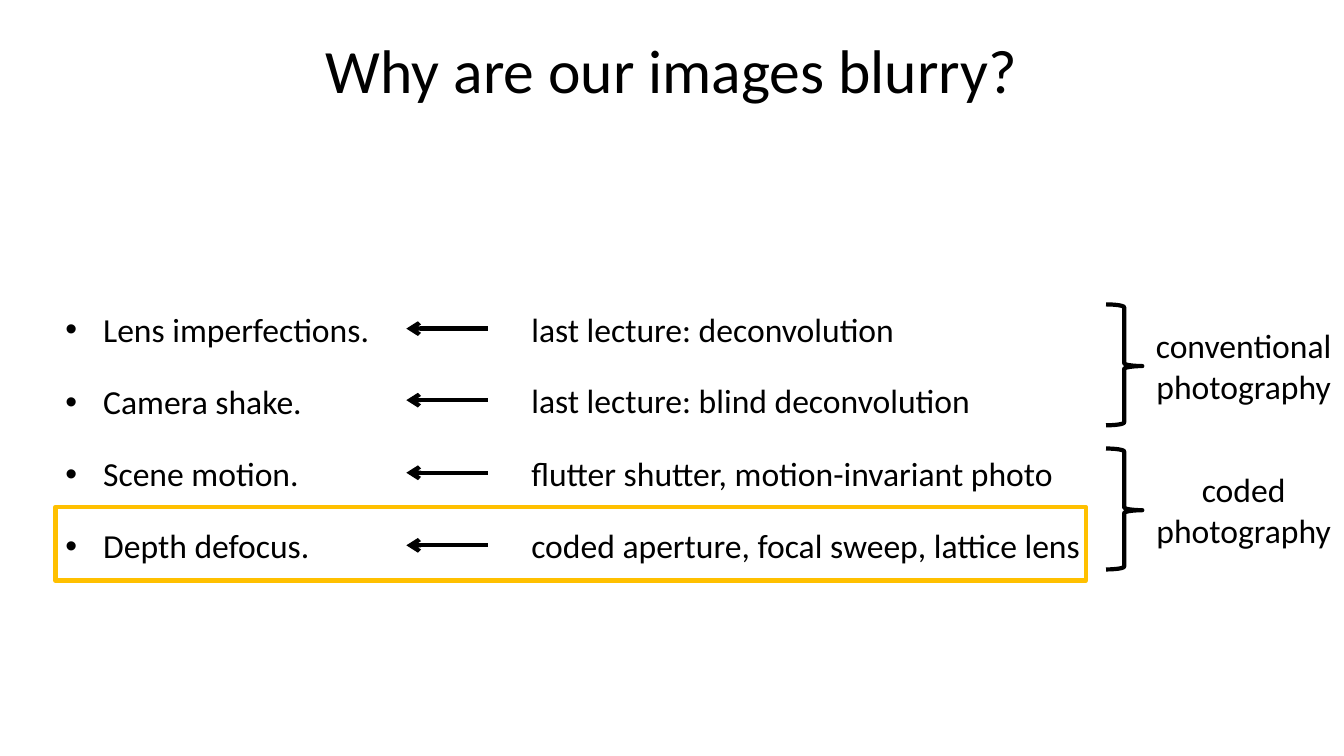
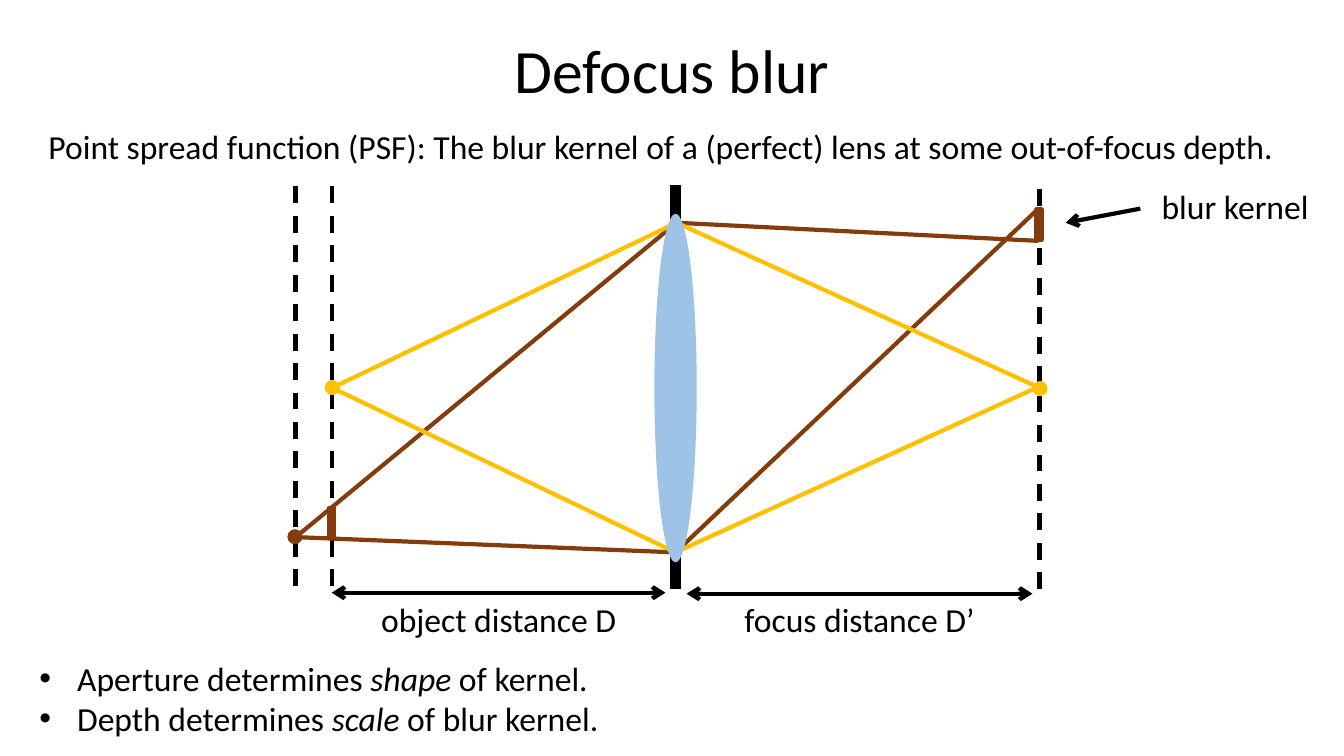
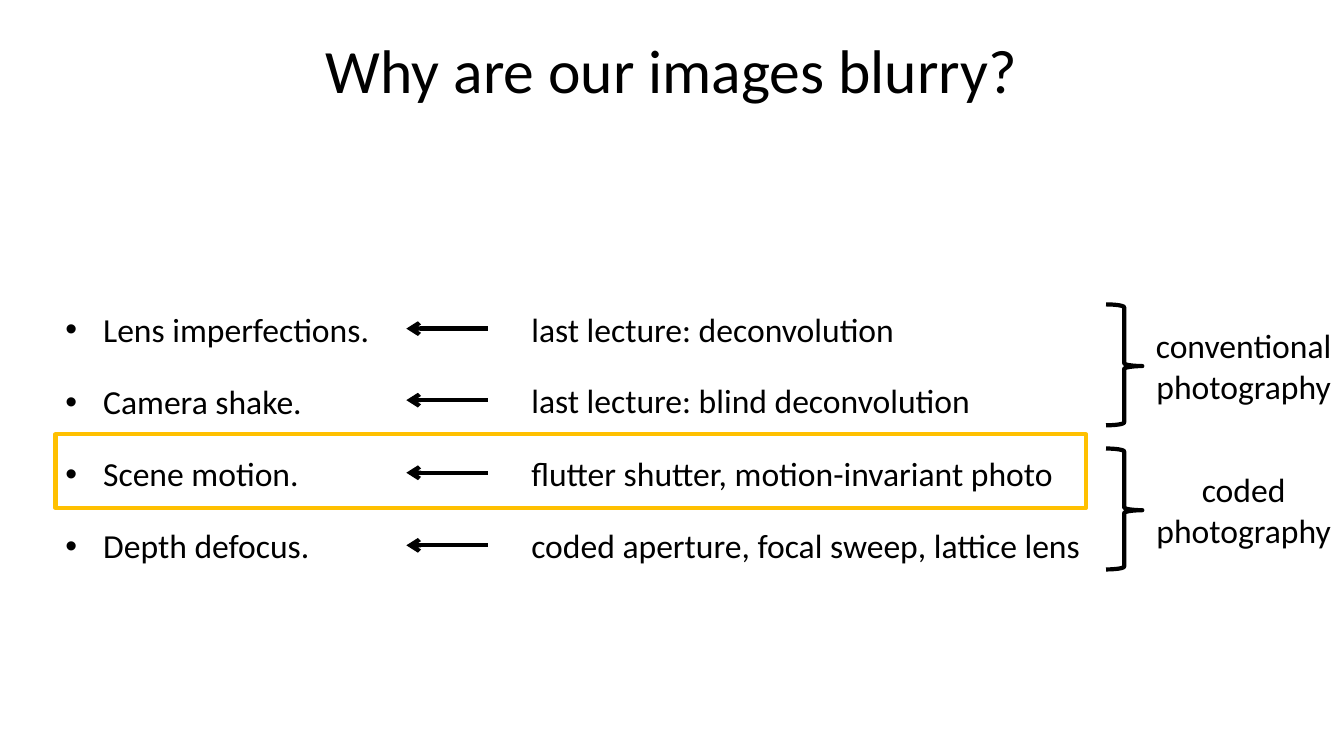
"""Build three slides on image blur: two overviews and a defocus diagram."""
from lxml.etree import SubElement
from pptx import Presentation
from pptx.dml.color import RGBColor
from pptx.enum.dml import MSO_LINE
from pptx.enum.shapes import MSO_CONNECTOR, MSO_SHAPE
from pptx.enum.text import MSO_ANCHOR, PP_ALIGN
from pptx.oxml.ns import qn
from pptx.util import Emu, Pt

PX = 9144
WIDTH, HEIGHT = 1333, 750
FONT = "Calibri"
BLACK = RGBColor(0x00, 0x00, 0x00)
GOLD = RGBColor(0xFF, 0xC0, 0x00)
BROWN = RGBColor(0x84, 0x3C, 0x0C)
LENS_BLUE = RGBColor(0x9D, 0xC3, 0xE6)

OVERVIEW_TITLE = "Why are our images blurry?"
CAUSES = [
    ("Lens imperfections.", "last lecture: deconvolution"),
    ("Camera shake.", "last lecture: blind deconvolution"),
    ("Scene motion.", "flutter shutter, motion-invariant photo"),
    ("Depth defocus.", "coded aperture, focal sweep, lattice lens"),
]
GROUPS = [(0, "conventional photography"), (2, "coded photography")]

DEFOCUS_TITLE = "Defocus blur"
DEFINITION = ("Point spread function (PSF): The blur kernel of a (perfect) "
              "lens at some out-of-focus depth.")
KERNEL_FACTS = [
    [("Aperture determines ", False), ("shape", True), (" of kernel.", False)],
    [("Depth determines ", False), ("scale", True), (" of blur kernel.", False)],
]
LENS_TOP, LENS_BOTTOM = (671, 221), (670, 548)
PLANES = [(293, 185), (329, 185), (1031, 188)]
PLANE_LENGTH = 400
RAYS = [
    (BROWN, (297, 533), LENS_BOTTOM),
    (BROWN, (1030, 207), LENS_BOTTOM),
    (BROWN, (298, 529), LENS_TOP),
    (BROWN, LENS_TOP, (1030, 239)),
    (GOLD, (329, 385), LENS_TOP),
    (GOLD, (328, 384), LENS_BOTTOM),
    (GOLD, (1025, 382), LENS_TOP),
    (GOLD, (1025, 386), LENS_BOTTOM),
]
DISTANCES = [(329, 660, 588, "object distance D"),
             (681, 1024, 589, "focus distance D’")]
POINTS = [(GOLD, 322, 377), (GOLD, 1024, 378), (BROWN, 285, 525)]
KERNELS = [(326, 504, 3), (1028, 208, 3.5)]


def px(value):
    return Emu(round(value * PX))


def add_text(slide, box, paragraphs, size=24, align=PP_ALIGN.LEFT, inset=(4, 4),
             bullet=False, line_spacing=None, gap=0):
    shape = slide.shapes.add_textbox(*map(px, box))
    frame = shape.text_frame
    frame.word_wrap = True
    frame.vertical_anchor = MSO_ANCHOR.MIDDLE
    frame.margin_left = frame.margin_right = px(inset[0])
    frame.margin_top = frame.margin_bottom = px(inset[1])
    for index, runs in enumerate(paragraphs):
        paragraph = frame.add_paragraph() if index else frame.paragraphs[0]
        paragraph.alignment = align
        if bullet:
            properties = paragraph._p.get_or_add_pPr()
            properties.set("marL", str(px(37.5)))
            properties.set("indent", str(-px(37.5)))
            SubElement(properties, qn("a:buFont"), typeface="Arial")
            SubElement(properties, qn("a:buChar"), char="•")
        if line_spacing:
            paragraph.line_spacing = line_spacing
        if index and gap:
            paragraph.space_before = Pt(gap)
        for text, italic in [(runs, False)] if isinstance(runs, str) else runs:
            run = paragraph.add_run()
            run.text = text
            run.font.name = FONT
            run.font.size = Pt(size)
            run.font.italic = italic
            run.font.color.rgb = BLACK


def add_line(slide, start, end, color=BLACK, dashed=False, arrows=()):
    line = slide.shapes.add_connector(
        MSO_CONNECTOR.STRAIGHT, *map(px, (*start, *end)))
    line.line.color.rgb = color
    line.line.width = Pt(3)
    if dashed:
        line.line.dash_style = MSO_LINE.DASH
    for arrow in arrows:
        SubElement(line.line._get_or_add_ln(), qn("a:" + arrow), type="arrow")
    SubElement(line._element.spPr, qn("a:effectLst"))


def add_figure(slide, kind, box, fill=None, outline=None, width=3):
    shape = slide.shapes.add_shape(kind, *map(px, box))
    shape.shadow.inherit = False
    if fill is None:
        shape.fill.background()
    else:
        shape.fill.solid()
        shape.fill.fore_color.rgb = fill
    if outline is None:
        shape.line.fill.background()
    else:
        shape.line.color.rgb = outline
        shape.line.width = Pt(width)
    return shape


def add_titled_slide(presentation, title):
    slide = presentation.slides.add_slide(presentation.slide_layouts[6])
    add_text(slide, (0, 0, WIDTH, 145), [title], size=44,
             align=PP_ALIGN.CENTER, inset=(10, 5), line_spacing=0.9)
    return slide


def row_top(row):
    return 302 + 215 * row // 3


def add_overview(presentation, highlighted):
    slide = add_titled_slide(presentation, OVERVIEW_TITLE)
    add_text(slide, (55, 147, 1223, 578), [cause for cause, _ in CAUSES],
             inset=(10, 5), bullet=True, line_spacing=0.9, gap=25.6)
    for row, (_, remedy) in enumerate(CAUSES):
        top = row_top(row)
        add_text(slide, (523, top, 717, 48), [remedy])
        add_line(slide, (484, top + 24), (403, top + 24), arrows=["tailEnd"])
    for row, label in GROUPS:
        top = row_top(row)
        brace = add_figure(slide, MSO_SHAPE.RIGHT_BRACE, (1097, top, 36, 120),
                           outline=BLACK)
        brace.adjustments[0], brace.adjustments[1] = 0.08, 0.51
        add_text(slide, (1133, top + 16, 201, 89), [label], align=PP_ALIGN.CENTER)
    add_figure(slide, MSO_SHAPE.RECTANGLE,
               (55, row_top(highlighted) - 14, 1022, 73), outline=GOLD)


def add_defocus(presentation):
    slide = add_titled_slide(presentation, DEFOCUS_TITLE)
    add_text(slide, (44, 121, 1262, 48), [DEFINITION])
    for x, top in PLANES:
        add_line(slide, (x, top), (x, top + PLANE_LENGTH), dashed=True)
    for color, start, end in RAYS:
        add_line(slide, start, end, color)
    add_figure(slide, MSO_SHAPE.RECTANGLE, (665, 184, 10, PLANE_LENGTH),
               BLACK, BLACK, 1)
    add_figure(slide, MSO_SHAPE.OVAL, (649, 212, 42, 346), LENS_BLUE)
    for left, right, y, label in DISTANCES:
        add_line(slide, (left, y), (right, y), arrows=["headEnd", "tailEnd"])
        add_text(slide, (left, 590, right - left, 48), [label],
                 align=PP_ALIGN.CENTER)
    for color, left, top in POINTS:
        add_figure(slide, MSO_SHAPE.OVAL, (left, top, 15, 15), color)
    for left, top, width in KERNELS:
        add_figure(slide, MSO_SHAPE.RECTANGLE, (left, top, 5, 30),
                   BROWN, BROWN, width)
    add_line(slide, (1131, 207), (1057, 221), arrows=["tailEnd"])
    add_text(slide, (1144, 180, 162, 48), ["blur kernel"], align=PP_ALIGN.CENTER)
    add_text(slide, (35, 648, 877, 89), KERNEL_FACTS, bullet=True)


def main():
    presentation = Presentation()
    presentation.slide_width, presentation.slide_height = px(WIDTH), px(HEIGHT)
    add_overview(presentation, highlighted=3)
    add_defocus(presentation)
    add_overview(presentation, highlighted=2)
    presentation.save("out.pptx")


if __name__ == "__main__":
    main()
